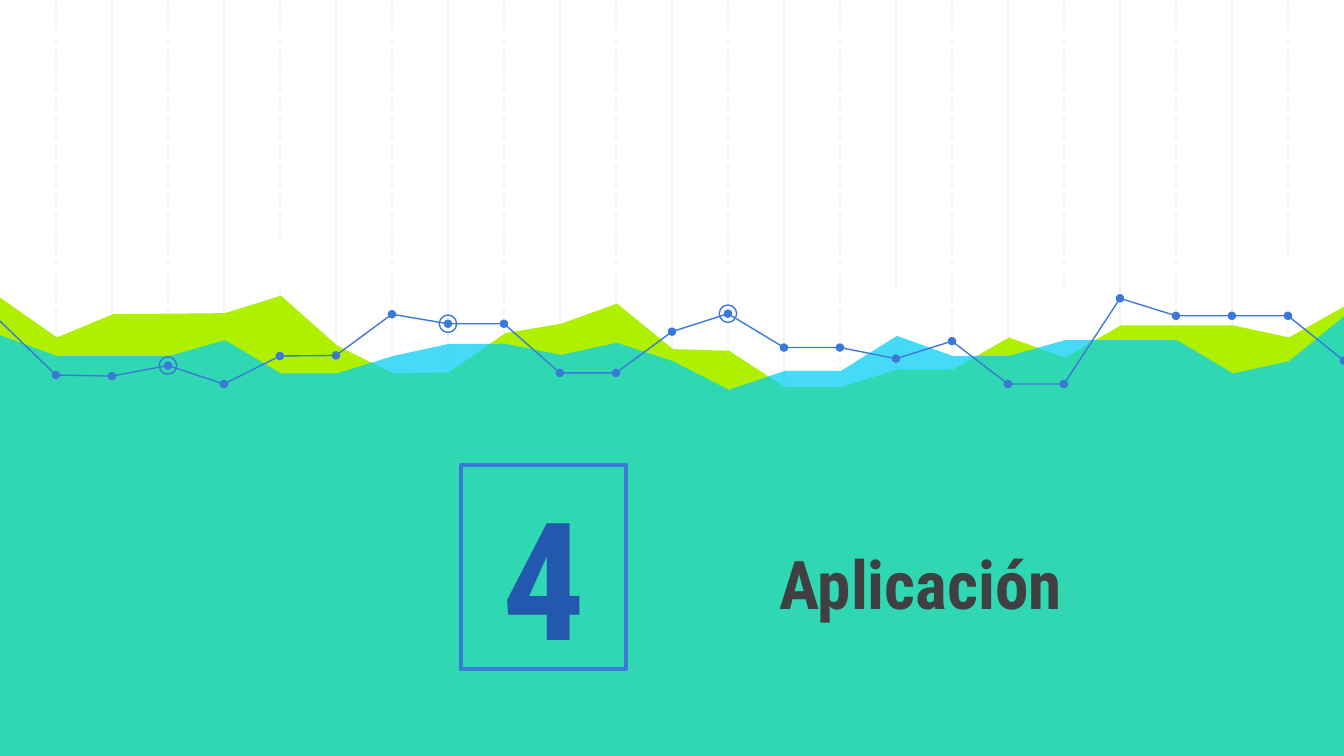
import pptx
import pptx.util
import pptx.dml.color
import pptx.enum.dml
import pptx.enum.shapes
import pptx.enum.text
import pptx.oxml.ns
from lxml import etree

Cm = pptx.util.Cm
Pt = pptx.util.Pt
RGBColor = pptx.dml.color.RGBColor
MSO_SHAPE = pptx.enum.shapes.MSO_SHAPE
PP_ALIGN = pptx.enum.text.PP_ALIGN
qn = pptx.oxml.ns.qn

WHITE = RGBColor(0xFF, 0xFF, 0xFF)
GRID = RGBColor(0xF3, 0xF3, 0xF3)
LIME = RGBColor(0xAF, 0xF0, 0x00)
CYAN = RGBColor(0x00, 0xCE, 0xF6)
BLUE = RGBColor(0x3C, 0x78, 0xD8)
NUMBER_BLUE = RGBColor(0x22, 0x58, 0xAD)
TITLE_GRAY = RGBColor(0x40, 0x40, 0x40)

FONT = "Roboto Condensed"
WIDTH, HEIGHT = 25.4, 14.29
STEPS = 24
STEP = WIDTH / STEPS
DOT, RING = 0.16, 0.33

LIME_Y = [5.59, 6.38, 5.94, 5.93, 5.92, 5.59, 6.53, 7.06, 7.04, 6.3, 6.12, 5.74, 6.6,
          6.63, 7.32, 7.32, 6.99, 6.99, 6.38, 6.76, 6.15, 6.15, 6.15, 6.38, 5.77]
CYAN_Y = [6.32, 6.73, 6.73, 6.73, 6.43, 7.06, 7.06, 6.73, 6.5, 6.5, 6.71, 6.48, 6.83,
          7.37, 7.01, 7.01, 6.35, 6.73, 6.73, 6.43, 6.43, 6.43, 7.06, 6.83, 5.94]
LINE_Y = [6.07, 7.09, 7.11, 6.91, 7.26, 6.73, 6.72, 5.94, 6.12, 6.12, 7.05, 7.05, 6.27,
          5.93, 6.57, 6.57, 6.78, 6.45, 7.26, 7.26, 5.64, 5.97, 5.97, 5.97, 6.82]
LINE_PARTS = [(0, 11), (11, 20), (20, 24)]
RINGED = [3, 8, 13]
MASKS = [(4.85, 4.5), (16.54, 5.41), (24.0, 4.93), (19.74, 5.41)]


def style(sp, fill=None, line=None, weight=0.75):
    sp.shadow.inherit = False
    if fill is None:
        sp.fill.background()
    else:
        sp.fill.solid()
        sp.fill.fore_color.rgb = fill
    if line is None:
        sp.line.fill.background()
    else:
        sp.line.color.rgb = line
        sp.line.width = Pt(weight)
    return sp


def add_shape(s, kind, x, y, w, h, **look):
    sp = s.shapes.add_shape(kind, Cm(x), Cm(y), Cm(w), Cm(h))
    return style(sp, **look)


def add_circle(s, x, y, size, **look):
    return add_shape(s, MSO_SHAPE.OVAL, x - size / 2, y - size / 2, size, size, **look)


def add_grid_line(s, index):
    x = Cm(index * STEP)
    cx = s.shapes.add_connector(pptx.enum.shapes.MSO_CONNECTOR.STRAIGHT, x, 0, x, Cm(HEIGHT))
    cx.line.color.rgb = GRID
    cx.line.width = Pt(0.75)
    if index % 2:
        cx.line.dash_style = pptx.enum.dml.MSO_LINE.DASH
    etree.SubElement(cx._element.spPr, qn("a:effectLst"))


def add_path(s, points, close, **look):
    pts = [(Cm(x), Cm(y)) for x, y in points]
    fb = s.shapes.build_freeform(*pts[0])
    fb.add_line_segments(pts[1:], close=close)
    return style(fb.convert_to_shape(), **look)


def add_area(s, heights, color):
    points = [(i * STEP + 0.02, y) for i, y in enumerate(heights)]
    points[0] = (-0.05, heights[0])
    points[-1] = (WIDTH + 0.05, heights[-1])
    points += [(WIDTH + 0.1, HEIGHT + 0.1), (-0.08, HEIGHT + 0.1)]
    return add_path(s, points, True, fill=color)


def set_alpha(sp, percent):
    color = sp._element.spPr.find(qn("a:solidFill"))[0]
    etree.SubElement(color, qn("a:alpha"), val=str(percent * 1000))


def add_line_series(s):
    for first, last in LINE_PARTS:
        points = [(i * STEP, LINE_Y[i]) for i in range(first, last + 1)]
        add_path(s, points, False, line=BLUE)
    for i in range(1, STEPS + 1):
        add_circle(s, i * STEP, LINE_Y[i], DOT, fill=BLUE)
    for i in RINGED:
        add_circle(s, i * STEP, LINE_Y[i], RING, line=BLUE)


def add_text(s, text, x, y, w, h, size, color, align):
    tf = s.shapes.add_textbox(Cm(x), Cm(y), Cm(w), Cm(h)).text_frame
    tf.word_wrap = True
    tf.vertical_anchor = pptx.enum.text.MSO_ANCHOR.BOTTOM
    tf.margin_left = tf.margin_right = tf.margin_top = tf.margin_bottom = Cm(0.25)
    tf.text = text
    p = tf.paragraphs[0]
    p.alignment = align
    r = p.runs[0]
    r.font.name = FONT
    r.font.size = Pt(size)
    r.font.bold = True
    r.font.color.rgb = color


def main():
    prs = pptx.Presentation()
    prs.slide_width, prs.slide_height = Cm(WIDTH), Cm(HEIGHT)
    s = prs.slides.add_slide(prs.slide_layouts[6])

    for start in (2, 1):
        for index in range(start, STEPS, 2):
            add_grid_line(s, index)
    add_area(s, LIME_Y, LIME)
    set_alpha(add_area(s, CYAN_Y, CYAN), 73)
    drop = add_shape(s, MSO_SHAPE.TEAR, 5.13, 5.03, RING, RING, fill=LIME)
    drop.rotation = 135
    add_line_series(s)

    add_text(s, "Aplicación", 10.44, 8.79, 9.88, 3.23, 36, TITLE_GRAY, PP_ALIGN.RIGHT)
    add_text(s, "4", 8.13, 7.72, 4.32, 5.26, 88, NUMBER_BLUE, PP_ALIGN.CENTER)
    for x, y in MASKS:
        add_shape(s, MSO_SHAPE.RECTANGLE, x, y, 0.71, 0.94, fill=WHITE)
    add_shape(s, MSO_SHAPE.RECTANGLE, 8.71, 8.79, 3.12, 3.86, line=BLUE, weight=2)
    prs.save("out.pptx")


if __name__ == "__main__":
    main()
